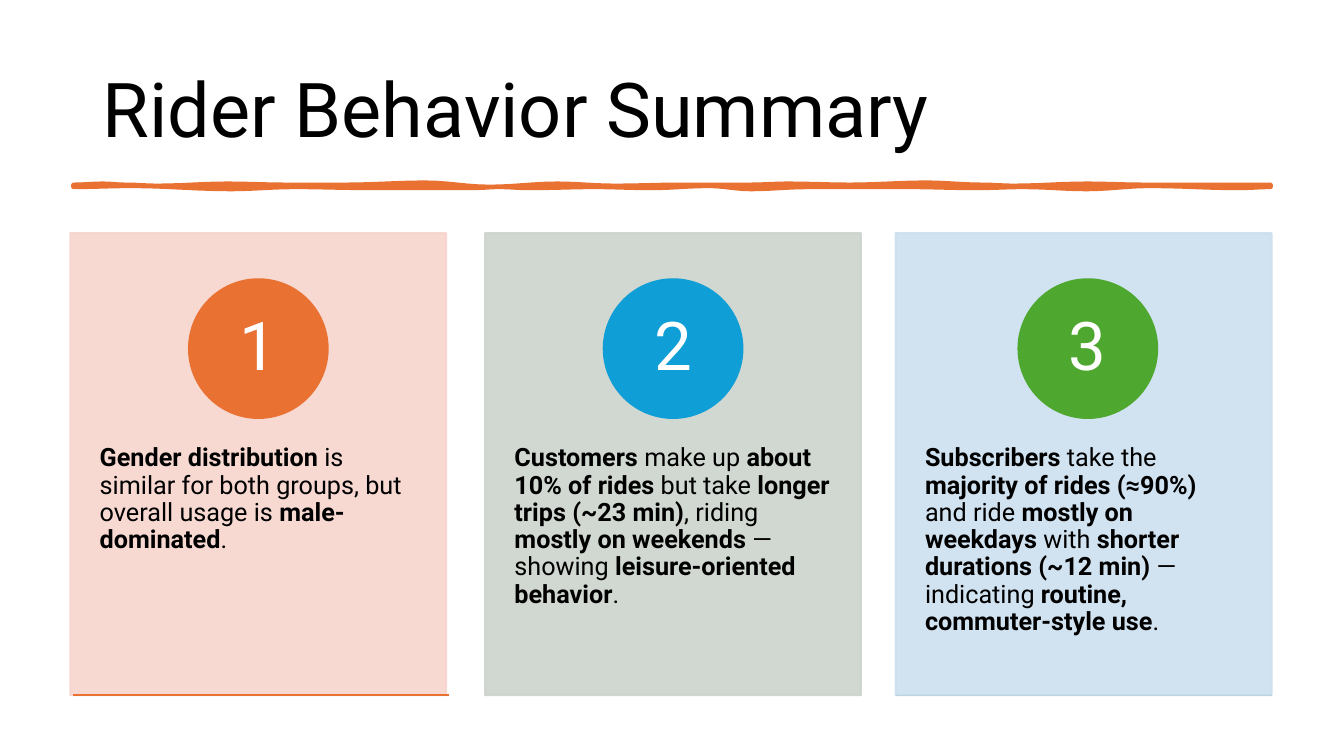
from dataclasses import dataclass
from math import cos, pi

from pptx import Presentation
from pptx.dml.color import RGBColor
from pptx.enum.shapes import MSO_CONNECTOR, MSO_SHAPE
from pptx.enum.text import MSO_ANCHOR, PP_ALIGN
from pptx.oxml.ns import qn
from pptx.oxml.xmlchemy import OxmlElement
from pptx.util import Pt

RECTANGLE, OVAL = MSO_SHAPE.RECTANGLE, MSO_SHAPE.OVAL
STRAIGHT = MSO_CONNECTOR.STRAIGHT
TOP, MIDDLE = MSO_ANCHOR.TOP, MSO_ANCHOR.MIDDLE
LEFT, CENTER = PP_ALIGN.LEFT, PP_ALIGN.CENTER

EMU_PER_PX = 9525
FONT = "Roboto"
COLORS = {
    "text": "000000", "number": "FFFFFF",
    "orange": "E97132", "blue": "0F9ED5", "green": "4EA72E", "dark green": "196B24",
    "pink card": "F7D5CE", "sage card": "CCD4CD", "sky card": "CCDFEF",
}

CARD_TOP, CARD_WIDTH, CARD_HEIGHT = 222, 358, 440
CARD_BOTTOM = CARD_TOP + CARD_HEIGHT
BADGE_LEFT, BADGE_TOP, BADGE_SIZE, BADGE_PITCH = 180, 266, 132, 395

# Brush stroke edges: (x, offset from the edge's base line)
STROKE_TOP, STROKE_BOTTOM = 176, 178
UPPER_WAVE = [
    (70, 0), (98, -1), (119, 0), (150, 1), (216, -1), (273, 0), (330, 0), (405, -2),
    (466, 2), (531, -1), (585, 1), (650, 0), (714, 0), (750, -1), (810, 0), (882, -2),
    (935, 0), (965, 1), (1035, -1), (1090, 0), (1210, 0),
]
LOWER_WAVE = [
    (70, 0), (125, -1), (220, 2), (280, 0), (355, 1), (410, 1), (450, 1), (475, 0),
    (505, 1), (566, 0), (620, 1), (675, -1), (715, 2), (770, 0), (865, 0), (930, 1),
    (975, 0), (1035, 2), (1095, -1), (1180, 1), (1210, 0),
]


@dataclass(frozen=True)
class Finding:
    left: int
    card: str
    badge: str
    phrases: tuple[str, ...]  # alternately bold and regular


FINDINGS = [
    Finding(67, "pink card", "orange", (
        "Gender distribution", " is similar for both groups, but overall usage is ",
        "male-dominated", ".")),
    Finding(462, "sage card", "blue", (
        "Customers", " make up ", "about 10% of rides", " but take ",
        "longer trips (~23 min)", ", riding ", "mostly on weekends", " — showing ",
        "leisure-oriented behavior", ".")),
    Finding(853, "sky card", "green", (
        "Subscribers", " take the ", "majority of rides (≈90%)", " and ride ",
        "mostly on weekdays", " with ", "shorter durations (~12 min)",
        " — indicating ", "routine, commuter-style use", ".")),
]


def px(length: float) -> int:
    return round(length * EMU_PER_PX)


def rgb(name: str) -> RGBColor:
    return RGBColor.from_string(COLORS[name])


def paint(shape, color: str, line_points: float, opacity: int = 100) -> None:
    shape.shadow.inherit = False
    shape.fill.solid()
    shape.fill.fore_color.rgb = rgb(color)
    shape.line.color.rgb = rgb(color)
    shape.line.width = Pt(line_points)
    if opacity < 100:
        for tint in shape._element.spPr.iter(qn("a:srgbClr")):
            alpha = OxmlElement("a:alpha")
            alpha.set("val", str(opacity * 1000))
            tint.append(alpha)


def write(shape, phrases: tuple[str, ...], size: int, color: str, align, anchor,
          margins: tuple[int, int, int, int], bold_first: bool = False) -> None:
    frame = shape.text_frame
    frame.word_wrap = True
    frame.vertical_anchor = anchor
    (frame.margin_left, frame.margin_top,
     frame.margin_right, frame.margin_bottom) = map(px, margins)
    paragraph = frame.paragraphs[0]
    paragraph.alignment = align
    paragraph.line_spacing = 0.9
    for index, phrase in enumerate(phrases):
        run = paragraph.add_run()
        run.text = phrase
        run.font.name = FONT
        run.font.size = Pt(size)
        run.font.bold = bold_first and index % 2 == 0
        run.font.color.rgb = rgb(color)


def smooth(wave: list[tuple[int, int]], base: int, steps: int = 6) -> list[tuple[int, int]]:
    points = []
    for (x0, y0), (x1, y1) in zip(wave, wave[1:]):
        for step in range(steps):
            share = step / steps
            rise = (1 - cos(pi * share)) / 2
            points.append((px(x0 + (x1 - x0) * share), px(base + y0 + (y1 - y0) * rise)))
    x_end, y_end = wave[-1]
    return points + [(px(x_end), px(base + y_end))]


def draw_stroke(shapes) -> None:
    outline = smooth(UPPER_WAVE, STROKE_TOP) + smooth(LOWER_WAVE, STROKE_BOTTOM)[::-1]
    builder = shapes.build_freeform(*outline[0])
    builder.add_line_segments(outline[1:], close=True)
    paint(builder.convert_to_shape(), "orange", 3.25)


def draw_card(shapes, finding: Finding) -> None:
    card = shapes.add_shape(RECTANGLE, px(finding.left), px(CARD_TOP),
                            px(CARD_WIDTH), px(CARD_HEIGHT))
    paint(card, finding.card, 1.5, opacity=90)
    write(card, finding.phrases, 18, "text", LEFT, TOP, (28, 202, 28, 43), bold_first=True)


def draw_badge(shapes, index: int, finding: Finding) -> None:
    badge = shapes.add_shape(OVAL, px(BADGE_LEFT + index * BADGE_PITCH), px(BADGE_TOP),
                             px(BADGE_SIZE), px(BADGE_SIZE))
    paint(badge, finding.badge, 1.5)
    write(badge, (str(index + 1),), 48, "number", CENTER, MIDDLE, (0, 0, 0, 0))


def draw_base_line(shapes, left: int, color: str) -> None:
    base_line = shapes.add_connector(STRAIGHT, px(left), px(CARD_BOTTOM),
                                     px(left + CARD_WIDTH), px(CARD_BOTTOM))
    base_line.line.color.rgb = rgb(color)
    base_line.line.width = Pt(1.5)
    base_line._element.spPr.append(OxmlElement("a:effectLst"))


def main() -> None:
    deck = Presentation()
    deck.slide_width, deck.slide_height = px(1280), px(720)
    shapes = deck.slides.add_slide(deck.slide_layouts[6]).shapes

    # Title and brush stroke
    title = shapes.add_textbox(px(88), px(38), px(1104), px(139))
    write(title, ("Rider Behavior Summary",), 54, "text", LEFT, MIDDLE, (10, 5, 10, 5))
    draw_stroke(shapes)

    # Cards, with one base line behind them and one in front
    draw_base_line(shapes, 853, "dark green")
    for finding in FINDINGS:
        draw_card(shapes, finding)
    for index, finding in enumerate(FINDINGS):
        draw_badge(shapes, index, finding)
    draw_base_line(shapes, 70, "orange")

    deck.save("out.pptx")


if __name__ == "__main__":
    main()
